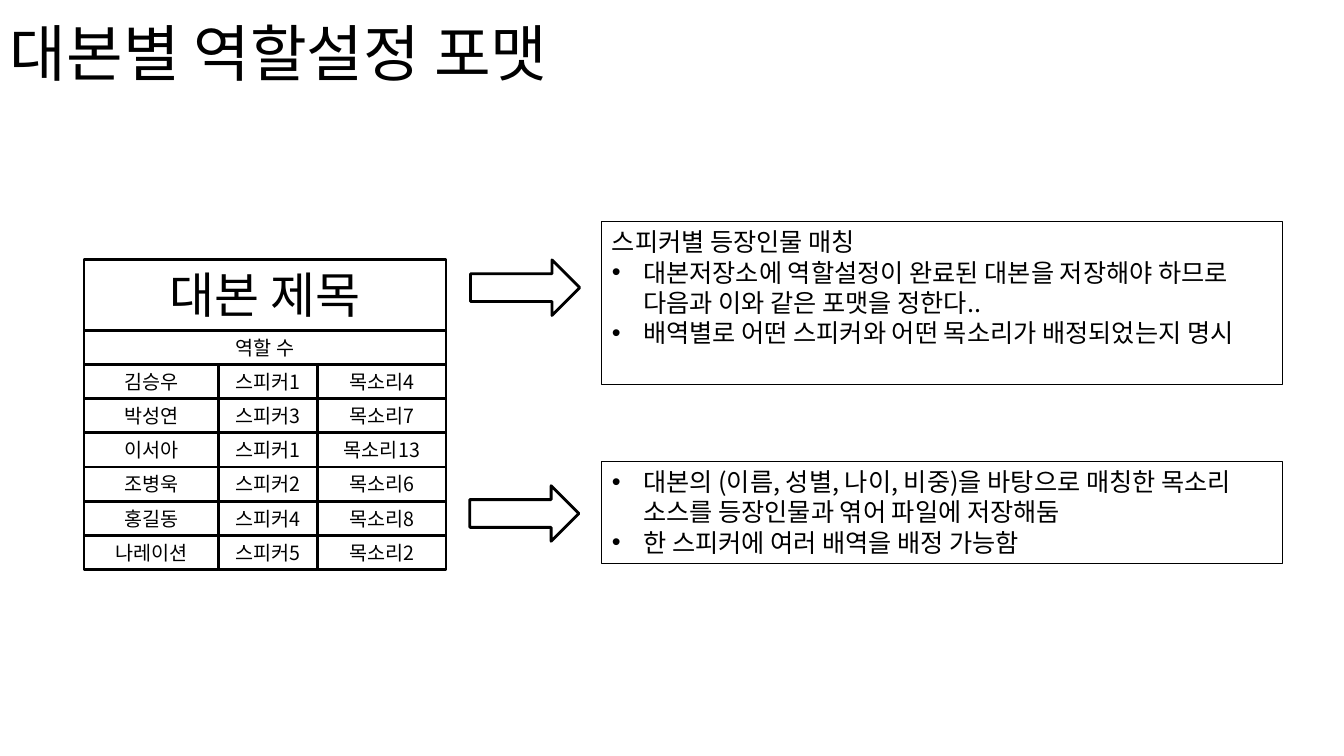
from lxml.etree import SubElement
from pptx import Presentation
from pptx.dml.color import RGBColor
from pptx.enum.shapes import MSO_SHAPE as SHAPE
from pptx.enum.text import MSO_ANCHOR as ANCHOR, PP_ALIGN as ALIGN
from pptx.oxml.ns import qn
from pptx.util import Cm, Pt

BLACK = RGBColor(0x00, 0x00, 0x00)
FONT = "Noto Sans CJK KR"
LEFT, TOP = 2.12, 6.55
COLUMN_WIDTHS = (3.39, 2.5, 3.23)
TITLE_ROW, ROW = 1.78, 0.86
ROLES = [
    ("김승우", "스피커1", "목소리4"),
    ("박성연", "스피커3", "목소리7"),
    ("이서아", "스피커1", "목소리13"),
    ("조병욱", "스피커2", "목소리6"),
    ("홍길동", "스피커4", "목소리8"),
    ("나레이션", "스피커5", "목소리2"),
]
MATCHING = [
    "대본저장소에 역할설정이 완료된 대본을 저장해야 하므로 다음과 이와 같은 포맷을 정한다..",
    "배역별로 어떤 스피커와 어떤 목소리가 배정되었는지 명시",
]
VOICES = [
    "대본의 (이름, 성별, 나이, 비중)을 바탕으로 매칭한 목소리 소스를 등장인물과 엮어 파일에 저장해둠",
    "한 스피커에 여러 배역을 배정 가능함",
]


def write(p, text, size=18, align=ALIGN.LEFT, spacing=None, bullet=False):
    """Write one formatted run into a paragraph."""
    p.alignment = align
    p.line_spacing = spacing
    if bullet:
        pPr = p._p.get_or_add_pPr()
        pPr.set("marL", str(Cm(0.79)))
        pPr.set("indent", str(-Cm(0.79)))
        SubElement(pPr, qn("a:buFont"), typeface="Arial")
        SubElement(pPr, qn("a:buChar"), char="•")
    r = p.add_run()
    r.text = text
    r.font.size = Pt(size)
    r.font.color.rgb = BLACK
    r.font.name = FONT
    SubElement(r._r.get_or_add_rPr(), qn("a:ea"), typeface=FONT)


def add_title(s, text):
    """Add the slide title."""
    tf = s.shapes.add_textbox(0, Cm(-0.42), Cm(29.21), Cm(3.68)).text_frame
    tf.word_wrap = True
    tf.vertical_anchor = ANCHOR.MIDDLE
    write(tf.paragraphs[0], text, size=44, spacing=0.9)


def add_outline(s, kind, left, top, width, height, line=2):
    """Add an unfilled shape with a black outline."""
    sp = s.shapes.add_shape(kind, Cm(left), Cm(top), Cm(width), Cm(height))
    sp.shadow.inherit = False
    sp.fill.background()
    sp.line.color.rgb = BLACK
    sp.line.width = Pt(line)
    return sp


def add_arrow(s, left, top):
    """Add a block arrow that points at a note."""
    add_outline(s, SHAPE.RIGHT_ARROW, left, top, 2.75, 1.4)


def add_note(s, top, height, bullets, heading=None):
    """Add a framed note with an optional heading over its bullets."""
    tf = add_outline(s, SHAPE.RECTANGLE, 15.17, top, 17.16, height, 0.75).text_frame
    tf.word_wrap = True
    tf.vertical_anchor = ANCHOR.TOP
    lines = [(heading, False)] if heading else []
    lines += [(text, True) for text in bullets]
    for i, (text, bullet) in enumerate(lines):
        p = tf.add_paragraph() if i else tf.paragraphs[0]
        write(p, text, bullet=bullet)


def add_box(s, text, left, top, width, height=ROW, size=14, anchor=ANCHOR.MIDDLE):
    """Add one framed box of the role format."""
    tf = add_outline(s, SHAPE.RECTANGLE, left, top, width, height).text_frame
    tf.word_wrap = True
    tf.vertical_anchor = anchor
    write(tf.paragraphs[0], text, size=size, align=ALIGN.CENTER)


def add_role_format(s, title, subtitle, roles):
    """Add the title box, the role count and the grid of role boxes."""
    width = sum(COLUMN_WIDTHS)
    add_box(s, title, LEFT, TOP, width, TITLE_ROW, size=35, anchor=ANCHOR.TOP)
    top = TOP + TITLE_ROW
    add_box(s, subtitle, LEFT, top, width)
    for i, role in enumerate(roles, start=1):
        for j, text in enumerate(role):
            left = LEFT + sum(COLUMN_WIDTHS[:j])
            add_box(s, text, left, top + i * ROW, COLUMN_WIDTHS[j])


def main():
    """Build the slide and save it."""
    prs = Presentation()
    prs.slide_width, prs.slide_height = Cm(33.87), Cm(19.05)
    s = prs.slides.add_slide(prs.slide_layouts[6])
    add_title(s, "대본별 역할설정 포맷")
    add_role_format(s, "대본 제목", "역할 수", ROLES)
    add_arrow(s, 11.86, 6.55)
    add_note(s, 5.59, 4.11, MATCHING, heading="스피커별 등장인물 매칭")
    add_arrow(s, 11.84, 12.24)
    add_note(s, 11.63, 2.57, VOICES)
    prs.save("out.pptx")


if __name__ == "__main__":
    main()
